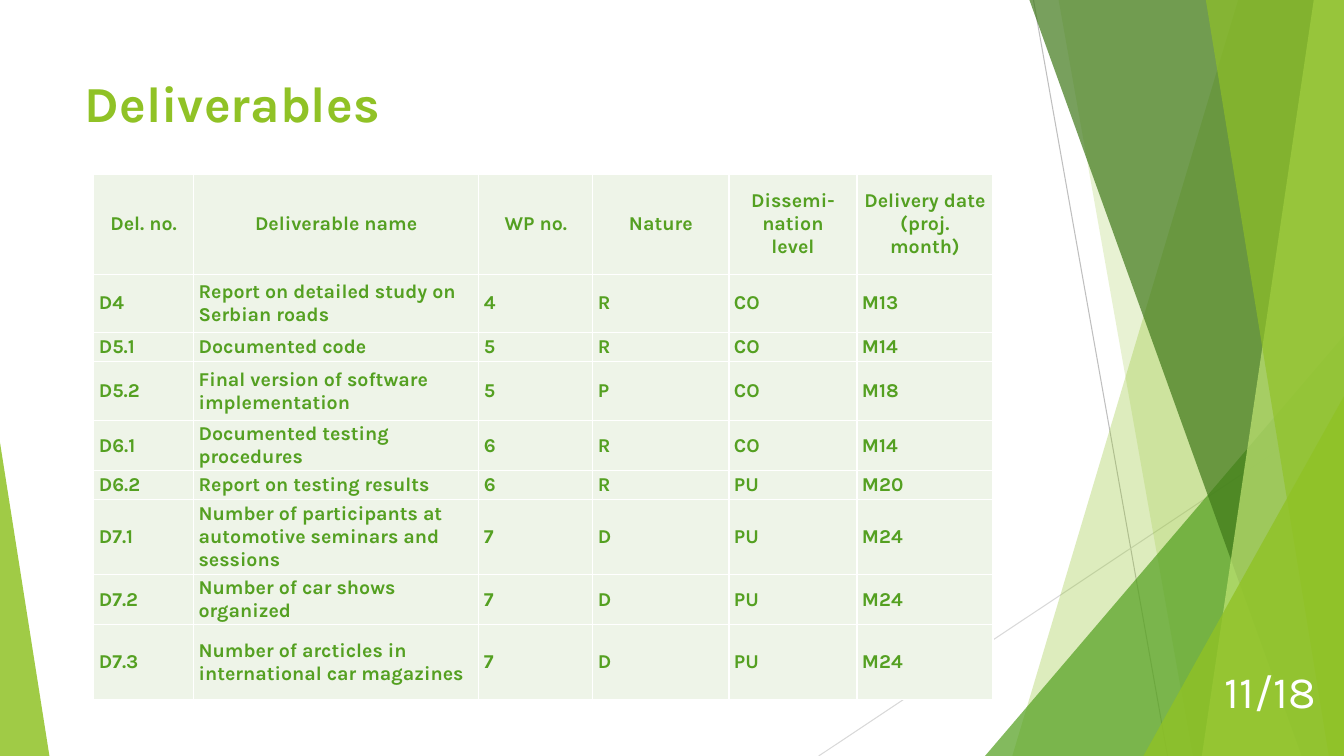
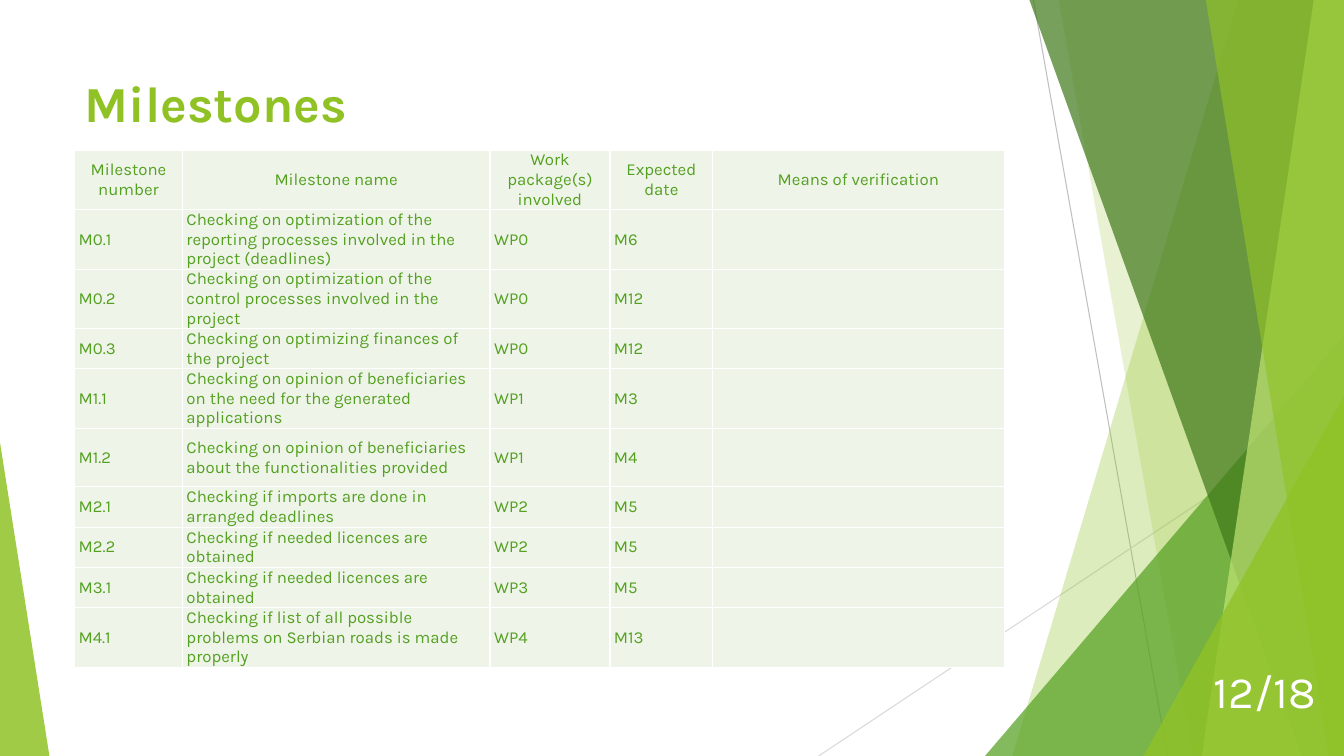
from lxml.etree import SubElement
from pptx import Presentation
from pptx.dml.color import RGBColor
from pptx.enum.shapes import MSO_CONNECTOR, MSO_SHAPE, PP_PLACEHOLDER
from pptx.enum.text import MSO_ANCHOR, PP_ALIGN
from pptx.oxml.ns import qn
from pptx.util import Inches, Pt

LIME = RGBColor(0x90, 0xC2, 0x26)
PALE_LIME = RGBColor(0xC0, 0xE4, 0x74)
GREEN = RGBColor(0x54, 0xA0, 0x21)
DARK_GREEN = RGBColor(0x3F, 0x78, 0x19)
CELL_FILL = RGBColor(0xEE, 0xF4, 0xE8)
WHITE = RGBColor(0xFF, 0xFF, 0xFF)
GRAY = RGBColor(0xBF, 0xBF, 0xBF)
LIGHT_GRAY = RGBColor(0xD9, 0xD9, 0xD9)

FONT = "Karla"
SLIDE_WIDTH, SLIDE_HEIGHT = 13.33, 7.5
PAGE_COUNT = 18

LINES = [
    ((10.25, 0), (11.58, SLIDE_HEIGHT), GRAY),
    ((SLIDE_WIDTH, 4.03), (8.12, SLIDE_HEIGHT), LIGHT_GRAY),
]

# Bands run to the right edge: top x, bottom x.
# Triangles stand on the bottom edge: left, top, width, apex position.
DECORATIONS = [
    ("band", (12.28, 10.04), LIME, 30),
    ("band", (10.5, 11.83), LIME, 20),
    ("triangle", (9.77, 3.33, 3.56, 1), GREEN, 72),
    ("band", (10.21, 12.91), DARK_GREEN, 70),
    ("band", (13.03, 11.92), PALE_LIME, 70),
    ("band", (11.96, 13.18), LIME, 65),
    ("triangle", (11.34, 3.93, 1.99, 1), LIME, 80),
    ("triangle", (0, 4.39, 0.49, 0), LIME, 85),
]

PAGES = [
    {
        "title": "Deliverables",
        "number": 11,
        "position": (0.93, 1.73),
        "columns": [0.99, 2.83, 1.13, 1.35, 1.27, 1.35],
        "heights": [0.99, 0.58, 0.29, 0.58, 0.5, 0.29, 0.74, 0.5, 0.74],
        "inset": 0.05,
        "size": 14,
        "bold": True,
        "rows": [
            ("Del. no.", "Deliverable name", "WP no.", "Nature",
             "Dissemi-nation\nlevel", "Delivery date\n(proj.\nmonth)"),
            ("D4", "Report on detailed study on Serbian roads", "4", "R", "CO", "M13"),
            ("D5.1", "Documented code", "5", "R", "CO", "M14"),
            ("D5.2", "Final version of software implementation", "5", "P", "CO", "M18"),
            ("D6.1", "Documented testing procedures", "6", "R", "CO", "M14"),
            ("D6.2", "Report on testing results", "6", "R", "PU", "M20"),
            ("D7.1", "Number of participants at automotive seminars and sessions",
             "7", "D", "PU", "M24"),
            ("D7.2", "Number of car shows organized", "7", "D", "PU", "M24"),
            ("D7.3", "Number of arcticles in international car magazines",
             "7", "D", "PU", "M24"),
        ],
    },
    {
        "title": "Milestones",
        "number": 12,
        "position": (0.74, 1.49),
        "columns": [1.07, 3.05, 1.19, 1.02, 2.89],
        "heights": [0.59, 0.59, 0.59, 0.4, 0.59, 0.58, 0.4, 0.4, 0.4, 0.59],
        "inset": 0.04,
        "size": 12,
        "bold": False,
        "rows": [
            ("Milestone number", "Milestone name", "Work package(s) involved",
             "Expected date", "Means of verification"),
            ("M0.1", "Checking on optimization of the reporting processes involved "
             "in the project (deadlines)", "WP0", "M6", ""),
            ("M0.2", "Checking on optimization of the control processes involved "
             "in the project", "WP0", "M12", ""),
            ("M0.3", "Checking on optimizing finances of the project", "WP0", "M12", ""),
            ("M1.1", "Checking on opinion of beneficiaries on the need for the "
             "generated applications", "WP1", "M3", ""),
            ("M1.2", "Checking on opinion of beneficiaries about the functionalities "
             "provided", "WP1", "M4", ""),
            ("M2.1", "Checking if imports are done in arranged deadlines", "WP2", "M5", ""),
            ("M2.2", "Checking if needed licences are obtained", "WP2", "M5", ""),
            ("M3.1", "Checking if needed licences are obtained", "WP3", "M5", ""),
            ("M4.1", "Checking if list of all possible problems on Serbian roads is "
             "made properly", "WP4", "M13", ""),
        ],
    },
]


def write(text_frame, text, size, color, bold=False, align=PP_ALIGN.LEFT):
    """Fill the text frame, one paragraph for each line of text."""
    text_frame.text = text
    for paragraph in text_frame.paragraphs:
        paragraph.alignment = align
        for run in paragraph.runs:
            run.font.name = FONT
            run.font.size = Pt(size)
            run.font.bold = bold
            run.font.color.rgb = color


def add_cell_borders(cell, color, width):
    properties = cell._tc.get_or_add_tcPr()
    for side in ("a:lnL", "a:lnR", "a:lnT", "a:lnB"):
        border = SubElement(properties, qn(side), w=str(Pt(width)))
        fill = SubElement(border, qn("a:solidFill"))
        SubElement(fill, qn("a:srgbClr"), val=str(color))


presentation = Presentation()
presentation.slide_width = Inches(SLIDE_WIDTH)
presentation.slide_height = Inches(SLIDE_HEIGHT)

# Layout: only the title placeholder stays
layout = presentation.slide_layouts.get_by_name("Title Only")
for placeholder in list(layout.placeholders):
    if placeholder.placeholder_format.type == PP_PLACEHOLDER.TITLE:
        placeholder.left, placeholder.top = Inches(0.74), Inches(0.67)
        placeholder.width, placeholder.height = Inches(9.4), Inches(1.44)
        placeholder.text_frame.vertical_anchor = MSO_ANCHOR.TOP
    else:
        placeholder.element.getparent().remove(placeholder.element)

slides = [presentation.slides.add_slide(layout) for page in PAGES]

# Decorations are drawn once and moved to the layout
shapes = slides[0].shapes
for start, end, color in LINES:
    connector = shapes.add_connector(
        MSO_CONNECTOR.STRAIGHT, *[Inches(value) for value in start + end])
    connector.line.color.rgb = color
    connector.line.width = Pt(0.75)
    SubElement(connector.element.spPr, qn("a:effectLst"))
    layout.shapes.element.append(connector.element)

for kind, geometry, color, opacity in DECORATIONS:
    if kind == "band":
        top_x, bottom_x = geometry
        builder = shapes.build_freeform(Inches(top_x), 0)
        corners = [(SLIDE_WIDTH, 0), (SLIDE_WIDTH, SLIDE_HEIGHT), (bottom_x, SLIDE_HEIGHT)]
        builder.add_line_segments([(Inches(x), Inches(y)) for x, y in corners])
        shape = builder.convert_to_shape()
    else:
        left, top, width, apex = geometry
        shape = shapes.add_shape(
            MSO_SHAPE.ISOSCELES_TRIANGLE, Inches(left), Inches(top),
            Inches(width), Inches(SLIDE_HEIGHT - top))
        shape.adjustments[0] = apex
    shape.shadow.inherit = False
    shape.line.fill.background()
    shape.fill.solid()
    shape.fill.fore_color.rgb = color
    fill_color = shape.element.spPr.find(qn("a:solidFill")).find(qn("a:srgbClr"))
    SubElement(fill_color, qn("a:alpha"), val=str(opacity * 1000))
    layout.shapes.element.append(shape.element)

# Title, table and page number of each slide
for slide, page in zip(slides, PAGES):
    write(slide.shapes.title.text_frame, page["title"], size=36, color=LIME, bold=True)

    left, top = page["position"]
    table = slide.shapes.add_table(
        len(page["heights"]), len(page["columns"]), Inches(left), Inches(top),
        Inches(sum(page["columns"])), Inches(sum(page["heights"]))).table
    table.first_row = False
    table.horz_banding = False
    for column, width in zip(table.columns, page["columns"]):
        column.width = Inches(width)
    for row, height in zip(table.rows, page["heights"]):
        row.height = Inches(height)

    for row_index, texts in enumerate(page["rows"]):
        align = PP_ALIGN.CENTER if row_index == 0 else PP_ALIGN.LEFT
        for column_index, text in enumerate(texts):
            cell = table.cell(row_index, column_index)
            cell.margin_left = cell.margin_right = Inches(page["inset"])
            cell.margin_top = cell.margin_bottom = 0
            cell.vertical_anchor = MSO_ANCHOR.MIDDLE
            add_cell_borders(cell, WHITE, 1)
            cell.fill.solid()
            cell.fill.fore_color.rgb = CELL_FILL
            write(cell.text_frame, text, size=page["size"], color=GREEN,
                  bold=page["bold"], align=align)

    number_box = slide.shapes.add_textbox(
        Inches(11.4), Inches(6.49), Inches(1.75), Inches(0.73))
    number_box.text_frame.word_wrap = True
    number_box.text_frame.vertical_anchor = MSO_ANCHOR.MIDDLE
    write(number_box.text_frame, f"{page['number']}/{PAGE_COUNT}", size=32,
          color=WHITE, align=PP_ALIGN.RIGHT)

presentation.save("out.pptx")
